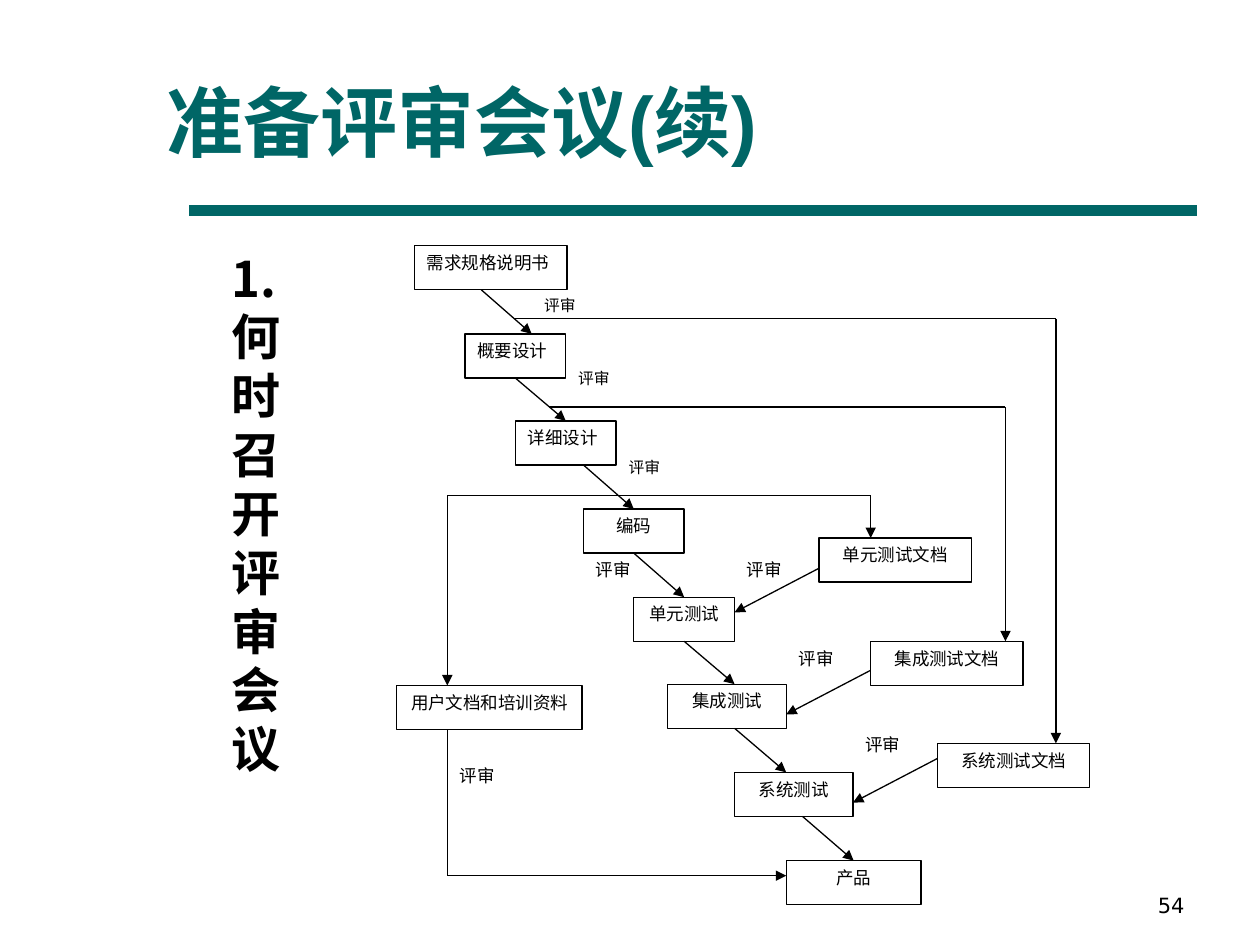
from pptx import Presentation, util as u
from pptx.dml.color import RGBColor
from pptx.enum import shapes as sh, text as tx
from pptx.oxml.ns import qn
from lxml import etree

TEAL = RGBColor(0x00, 0x66, 0x66)
BLACK = RGBColor(0, 0, 0)
WHITE = RGBColor(0xFF, 0xFF, 0xFF)
LEFT, MID, RIGHT = tx.PP_ALIGN.LEFT, tx.PP_ALIGN.CENTER, tx.PP_ALIGN.RIGHT
JUST = tx.PP_ALIGN.JUSTIFY
TOP, LOW = tx.MSO_ANCHOR.TOP, tx.MSO_ANCHOR.BOTTOM

prs = Presentation()
prs.slide_width, prs.slide_height = u.Inches(10), u.Inches(7.5)
slide = prs.slides.add_slide(prs.slide_layouts[6])


def write(shape, words, size, font, color=BLACK, bold=False, align=LEFT, anchor=TOP):
    frame = shape.text_frame
    frame.word_wrap = True
    frame.vertical_anchor = anchor
    par = frame.paragraphs[0]
    par.alignment = align
    run = par.add_run()
    run.text = words
    run.font.size = u.Pt(size)
    run.font.name = font
    run.font.bold = bold
    run.font.color.rgb = color


def link(x1, y1, x2, y2, arrow=True, color=BLACK, width=0.75):
    line = slide.shapes.add_connector(
        sh.MSO_CONNECTOR.STRAIGHT, *[u.Inches(v) for v in (x1, y1, x2, y2)])
    line.line.color.rgb = color
    line.line.width = u.Pt(width)
    if arrow:
        etree.SubElement(line.line._get_or_add_ln(), qn("a:tailEnd"), type="triangle")
    etree.SubElement(line._element.spPr, qn("a:effectLst"))
    return line


# Title, rule, page number and side heading
link(1.5, 1.67, 9.5, 1.67, False, TEAL, 6)
for x, y, w, h, words, size, font, color, bold, align, anchor in (
    (1.22, 0.12, 8.5, 1.25, "准备评审会议(续)", 44, "Arial", TEAL, True, LEFT, LOW),
    (7.17, 6.83, 2.33, 0.5, "54", 12, "DejaVu Sans", BLACK, False, RIGHT, LOW),
    (1.74, 1.92, 0.67, 4.31, "1.何时召开评审会议", 28, "Noto Sans CJK SC",
     BLACK, True, LEFT, TOP),
):
    box = slide.shapes.add_textbox(*[u.Inches(v) for v in (x, y, w, h)])
    write(box, words, size, font, color, bold, align, anchor)

# Review labels, then process steps and documents
HIGH = 0.35
STEP = 0.697
rows = [round(1.95 + STEP * i, 2) for i in range(8)]
labels = [(4.22, 2.3, 9), (4.49, 2.88, 9), (4.89, 3.58, 9), (4.63, 4.39, 10),
          (5.83, 4.39, 10), (6.24, 5.09, 10), (6.77, 5.78, 10), (3.55, 6.02, 10)]
steps = [("需求规格说明书", 3.29, 1.21, JUST), ("概要设计", 3.69, 0.8, JUST),
         ("详细设计", 4.09, 0.8, JUST), ("编码", 4.63, 0.8, MID),
         ("单元测试", 5.03, 0.8, MID), ("集成测试", 5.3, 0.94, MID),
         ("系统测试", 5.83, 0.94, MID), ("产品", 6.24, 1.07, MID)]
docs = [("单元测试文档", 6.5, 4.27, 1.21), ("集成测试文档", 6.91, 5.09, 1.21),
        ("系统测试文档", 7.44, 5.9, 1.21), ("用户文档和培训资料", 3.15, 5.44, 1.47)]
items = [("评审", x, y, 0.54, JUST, size, False) for x, y, size in labels]
items += [(name, x, y, w, align, 10, True)
          for (name, x, w, align), y in zip(steps, rows)]
items += [(name, x, y, w, MID, 10, True) for name, x, y, w in docs]

boxes = {}
for name, x, y, w, align, size, edge in items:
    box = slide.shapes.add_shape(
        sh.MSO_SHAPE.RECTANGLE, *[u.Inches(v) for v in (x, y, w, HIGH)])
    box.shadow.inherit = False
    box.fill.solid()
    box.fill.fore_color.rgb = WHITE
    if edge:
        box.line.color.rgb = BLACK
        box.line.width = u.Pt(0.75)
        boxes[name] = box
    else:
        box.line.fill.background()
    write(box, name, size, "Times New Roman", align=align)

# Arrows down the steps, joined where they meet the middle of a side
falls = [(3.82, 4.22), (4.09, 4.49), (4.63, 5.03), (5.03, 5.43),
         (5.43, 5.83), (5.83, 6.24), (6.37, 6.77)]
for i, (x1, x2) in enumerate(falls):
    line = link(x1, rows[i] + HIGH, x2, rows[i + 1])
    (name, left, wide, _), (after, left2, wide2, _) = steps[i], steps[i + 1]
    if abs(left + wide / 2 - x1) < 0.02:
        line.begin_connect(boxes[name], 2)
    if abs(left2 + wide2 / 2 - x2) < 0.02:
        line.end_connect(boxes[after], 0)

# Arrows from test documents to tests
for x, y in ((6.5, 4.51), (6.91, 5.32), (7.44, 6.02)):
    link(x, y, x - 0.67, y + 0.35)

# Bent routes from reviews to documents and product
for x1, y1, x2, y2 in ((4.09, 2.53, 8.38, 5.9), (4.36, 3.23, 7.98, 5.09),
                       (3.55, 3.93, 6.91, 4.27)):
    link(x1, y1, x2, y1, False)
    link(x2, y1, x2, y2)
link(3.55, 3.93, 3.55, 5.44)
link(3.55, 5.79, 3.55, 6.95, False)
link(3.55, 6.95, 6.24, 6.95)

prs.save("out.pptx")
